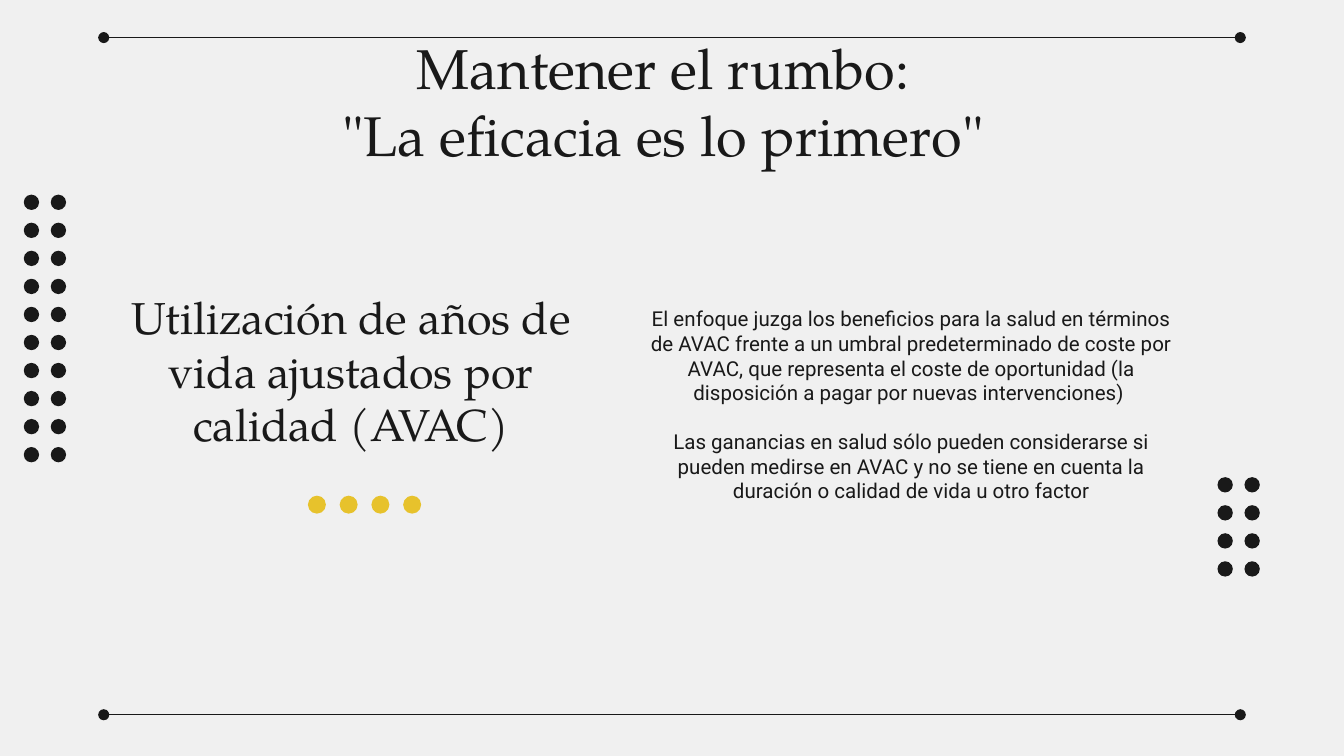
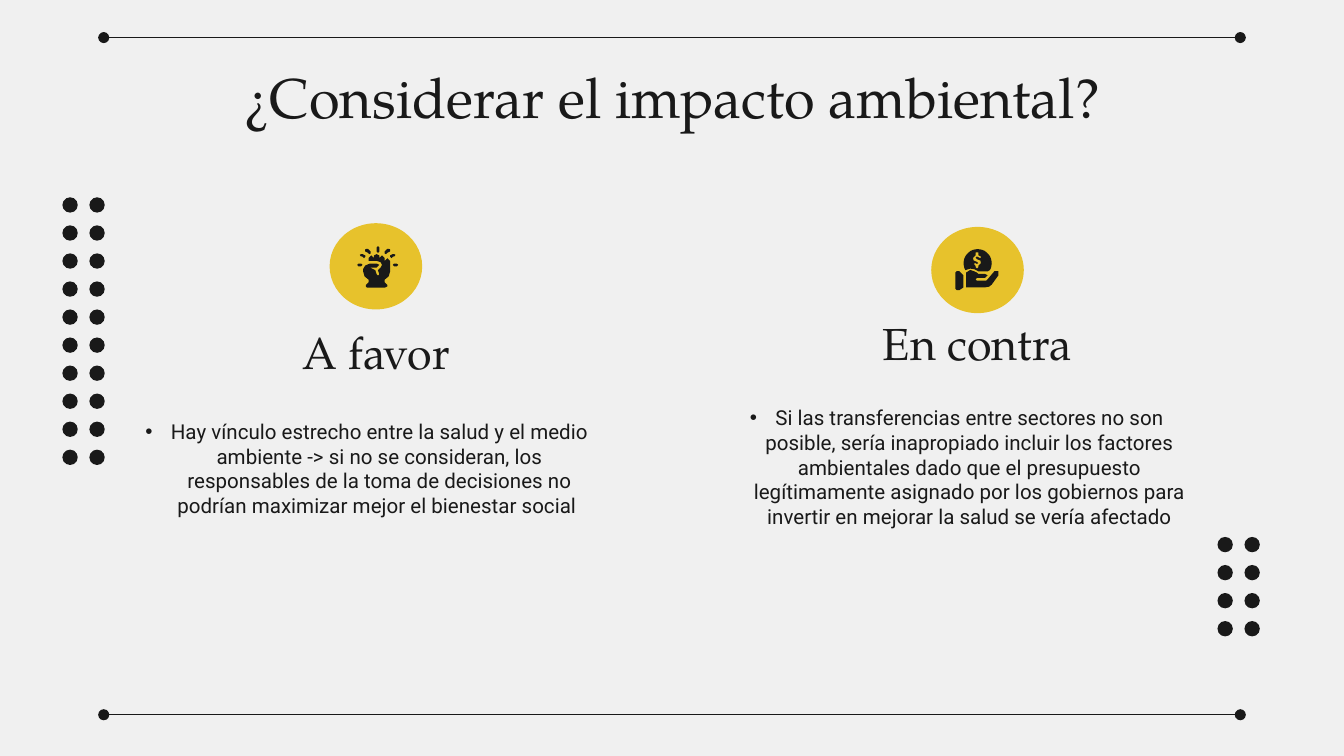
from dataclasses import dataclass
from math import cos, radians, sin

from lxml.etree import SubElement
from pptx import Presentation
from pptx.dml.color import RGBColor
from pptx.enum.shapes import MSO_CONNECTOR, MSO_SHAPE
from pptx.enum.text import MSO_ANCHOR as Anchor, PP_ALIGN as Align
from pptx.oxml.ns import qn
from pptx.util import Cm, Pt

INK = RGBColor(0x19, 0x19, 0x19)
YELLOW = RGBColor(0xE7, 0xC2, 0x2C)
PAPER = RGBColor(0xF0, 0xF0, 0xF0)
SERIF = "TeX Gyre Pagella"
SANS = "Roboto"
ICON_UNIT = Cm(0.0254)
SUBUNITS = 10

Points = list[tuple[float, float]]


@dataclass(frozen=True)
class Style:
    """Look of one kind of text."""
    font: str
    size: int
    anchor: Anchor = Anchor.TOP
    bullet: bool = False


@dataclass(frozen=True)
class Text:
    """A text box in centimetres with its paragraphs."""
    left: float
    top: float
    width: float
    height: float
    style: Style
    paragraphs: tuple[str, ...]


@dataclass(frozen=True)
class Dots:
    """A grid of equal dots in centimetres."""
    left: float
    top: float
    columns: int
    rows: int
    size: float = 0.29
    pitch_x: float = 0.51
    pitch_y: float = 0.53
    color: RGBColor = INK


@dataclass(frozen=True)
class Icon:
    """A yellow disc with outlines, each made of one or more contours."""
    left: float
    top: float
    outlines: list[list[Points]]


TITLE = Style(SERIF, 30)
HEADING = Style(SERIF, 24, Anchor.BOTTOM)
BODY = Style(SANS, 11)
BULLETS = Style(SANS, 11, Anchor.MIDDLE, True)


def mirror(points: Points) -> Points:
    """Reflect a ray across the axis of the fist."""
    return [(71.5 - x, y) for x, y in points]


TOP_RAY = [(36, 17), (35, 18), (35, 21), (36, 22), (37, 21), (37, 18)]
SIDE_RAYS = [
    [(44, 19), (43, 19), (41, 21), (41, 22.5), (42, 23), (43, 22), (45, 21), (45, 19.5)],
    [(48, 23), (47, 23), (45, 24), (45, 25), (46, 26), (47, 25), (48.5, 24.5), (49, 23.5)],
    [(48, 30), (47, 31), (48, 32), (50, 32), (51, 31), (50, 30)],
]
FIST = [
    (35, 23), (33, 24), (33, 26), (31, 24), (29, 26), (29, 28), (35, 28), (38, 29),
    (39, 31), (38, 33), (36, 35), (37, 38), (36, 39), (35, 38), (34, 35), (30, 33),
    (35, 33), (37, 31), (35, 30), (30, 30), (26.5, 31.5), (25, 34), (25, 36),
    (26, 39.5), (29, 42), (29, 44), (27, 46), (27, 47), (28, 48), (41, 48), (43, 47),
    (43, 46), (41, 44), (41, 42), (44, 39.5), (45, 36), (45, 28), (43, 26), (41, 28),
    (41, 26), (39, 24), (37, 26), (37, 24),
]
SLEEVE = [(19, 33), (18, 34), (18, 46), (19, 47), (21, 47), (24, 45), (24, 36), (21, 33)]
PALM = [
    (29, 32), (26, 34), (26, 45), (40, 45), (43, 44.5), (45, 43), (50, 36), (50, 33),
    (49, 33), (47, 33), (42, 39), (41, 40), (34, 40), (33, 39), (34, 38), (40, 38),
    (42, 36), (40, 35), (35, 35), (34, 34), (32, 33),
]
COIN = [(34.5 + 10.5 * cos(radians(a)), 27 + 10.5 * sin(radians(a))) for a in range(150, 391, 10)]
COIN += [(42, 33), (35, 33), (32, 31.5), (29, 31)]
DOLLAR = [
    (34, 19), (35, 19), (35, 21), (37, 22), (37, 23), (36, 23), (34, 22), (33, 23),
    (34, 24), (36.5, 25), (37, 27), (35, 29), (35, 30), (34, 31), (33, 30), (33, 29),
    (32, 28), (32, 27), (33, 27), (34, 27.5), (35, 27), (34, 26), (31.5, 25), (31, 23),
    (33, 21), (33, 19),
]
FIST_OUTLINES = [[FIST], [TOP_RAY]] + [[ray] for side in SIDE_RAYS for ray in (side, mirror(side))]
MONEY_OUTLINES = [[SLEEVE], [COIN, DOLLAR], [PALM]]


def paint(sp, color: RGBColor) -> None:
    """Give a shape a flat fill without line or shadow."""
    sp.shadow.inherit = False
    sp.fill.solid()
    sp.fill.fore_color.rgb = color
    sp.line.fill.background()


def add_ellipse(shapes, left: float, top: float, width: float, height: float, color: RGBColor) -> None:
    """Draw a flat ellipse."""
    paint(shapes.add_shape(MSO_SHAPE.OVAL, Cm(left), Cm(top), Cm(width), Cm(height)), color)


def add_dots(s, dots: Dots) -> None:
    """Draw a grouped grid of dots."""
    shapes = s.shapes.add_group_shape().shapes
    for row in range(dots.rows):
        for column in range(dots.columns):
            left = dots.left + column * dots.pitch_x
            top = dots.top + row * dots.pitch_y
            add_ellipse(shapes, left, top, dots.size, dots.size, dots.color)


def add_icon(s, icon: Icon) -> None:
    """Draw a grouped disc and its symbol."""
    shapes = s.shapes.add_group_shape().shapes
    add_ellipse(shapes, icon.left, icon.top, 1.75, 1.63, YELLOW)
    for contours in icon.outlines:
        scaled = [[(round(x * SUBUNITS), round(y * SUBUNITS)) for x, y in c] for c in contours]
        builder = shapes.build_freeform(*scaled[0][0], scale=ICON_UNIT / SUBUNITS)
        for i, contour in enumerate(scaled):
            if i:
                builder.move_to(*contour[0])
            builder.add_line_segments(contour[1:], close=True)
        paint(builder.convert_to_shape(Cm(icon.left), Cm(icon.top)), INK)


def add_rule(s, y: float) -> None:
    """Draw a horizontal line with round ends."""
    sp = s.shapes.add_connector(MSO_CONNECTOR.STRAIGHT, Cm(1.96), Cm(y), Cm(23.44), Cm(y))
    sp.line.color.rgb = INK
    sp.line.width = Pt(0.75)
    ln = sp.line._get_or_add_ln()
    for end in ("a:headEnd", "a:tailEnd"):
        SubElement(ln, qn(end), type="oval")
    SubElement(sp._element.spPr, qn("a:effectLst"))


def add_bullet(p) -> None:
    """Give a paragraph a hanging round bullet."""
    pPr = p._p.get_or_add_pPr()
    pPr.set("marL", str(Cm(0.48)))
    pPr.set("indent", str(-Cm(0.48)))
    color = SubElement(pPr, qn("a:buClr"))
    SubElement(color, qn("a:srgbClr"), val=str(INK))
    SubElement(pPr, qn("a:buFont"), typeface="Arial")
    SubElement(pPr, qn("a:buChar"), char="•")


def add_text(s, text: Text) -> None:
    """Draw a centred text box."""
    style = text.style
    tf = s.shapes.add_textbox(Cm(text.left), Cm(text.top), Cm(text.width), Cm(text.height)).text_frame
    tf.word_wrap = True
    tf.vertical_anchor = style.anchor
    tf.margin_left = tf.margin_right = tf.margin_top = tf.margin_bottom = Cm(0.25)
    for i, content in enumerate(text.paragraphs):
        p = tf.add_paragraph() if i else tf.paragraphs[0]
        p.alignment = Align.CENTER
        if i:
            p.space_before = Pt(13)
        if style.bullet:
            add_bullet(p)
        for n, line in enumerate(content.split("\n")):
            if n:
                p.add_line_break()
            r = p.add_run()
            r.text = line
            r.font.name = style.font
            r.font.size = Pt(style.size)
            r.font.color.rgb = INK


def add_slide(prs, texts: list[Text], dots: list[Dots], icons: list[Icon]) -> None:
    """Add a slide with its texts, rules, dots and icons."""
    s = prs.slides.add_slide(prs.slide_layouts[6])
    for text in texts:
        add_text(s, text)
    for y in (0.71, 13.51):
        add_rule(s, y)
    for grid in dots:
        add_dots(s, grid)
    for icon in icons:
        add_icon(s, icon)


def main() -> None:
    """Build and save the presentation."""
    prs = Presentation()
    prs.slide_width, prs.slide_height = Cm(25.4), Cm(14.29)
    fill = prs.slide_master.background.fill
    fill.solid()
    fill.fore_color.rgb = PAPER
    add_slide(
        prs,
        [
            Text(1.96, 0.38, 21.41, 2.92, TITLE,
                 ("Mantener el rumbo: \n\"La eficacia es lo primero\" ",)),
            Text(11.89, 5.54, 10.67, 5.33, BODY, (
                "El enfoque juzga los beneficios para la salud en términos de AVAC frente a un "
                "umbral predeterminado de coste por AVAC, que representa el coste de oportunidad "
                "(la disposición a pagar por nuevas intervenciones) ",
                "Las ganancias en salud sólo pueden considerarse si pueden medirse en AVAC y no "
                "se tiene en cuenta la duración o calidad de vida u otro factor")),
            Text(1.55, 6.2, 10.16, 2.57, HEADING,
                 ("Utilización de años de vida ajustados por calidad (AVAC)",)),
        ],
        [
            Dots(0.45, 3.68, 2, 10),
            Dots(23.01, 9.02, 2, 4),
            Dots(5.82, 9.37, 4, 1, size=0.34, pitch_x=0.6, color=YELLOW),
        ],
        [],
    )
    add_slide(
        prs,
        [
            Text(2.01, 0.94, 21.41, 1.63, TITLE, ("¿Considerar el impacto ambiental?",)),
            Text(13.41, 7.24, 9.35, 3.18, BULLETS, (
                "Si las transferencias entre sectores no son posible, sería inapropiado incluir "
                "los factores ambientales dado que el presupuesto legítimamente asignado por los "
                "gobiernos para invertir en mejorar la salud se vería afectado",)),
            Text(2.26, 7.24, 9.35, 3.23, BULLETS, (
                "Hay vínculo estrecho entre la salud y el medio ambiente -> si no se consideran, "
                "los responsables de la toma de decisiones no podrían maximizar mejor el "
                "bienestar social ",)),
            Text(15.93, 6.15, 5.08, 1.09, HEADING, ("En contra",)),
            Text(4.47, 6.32, 5.28, 1.09, HEADING, ("A favor",)),
        ],
        [Dots(1.18, 3.73, 2, 10), Dots(23.01, 10.15, 2, 4)],
        [Icon(17.6, 4.29, MONEY_OUTLINES), Icon(6.23, 4.22, FIST_OUTLINES)],
    )
    prs.save("out.pptx")


if __name__ == "__main__":
    main()
